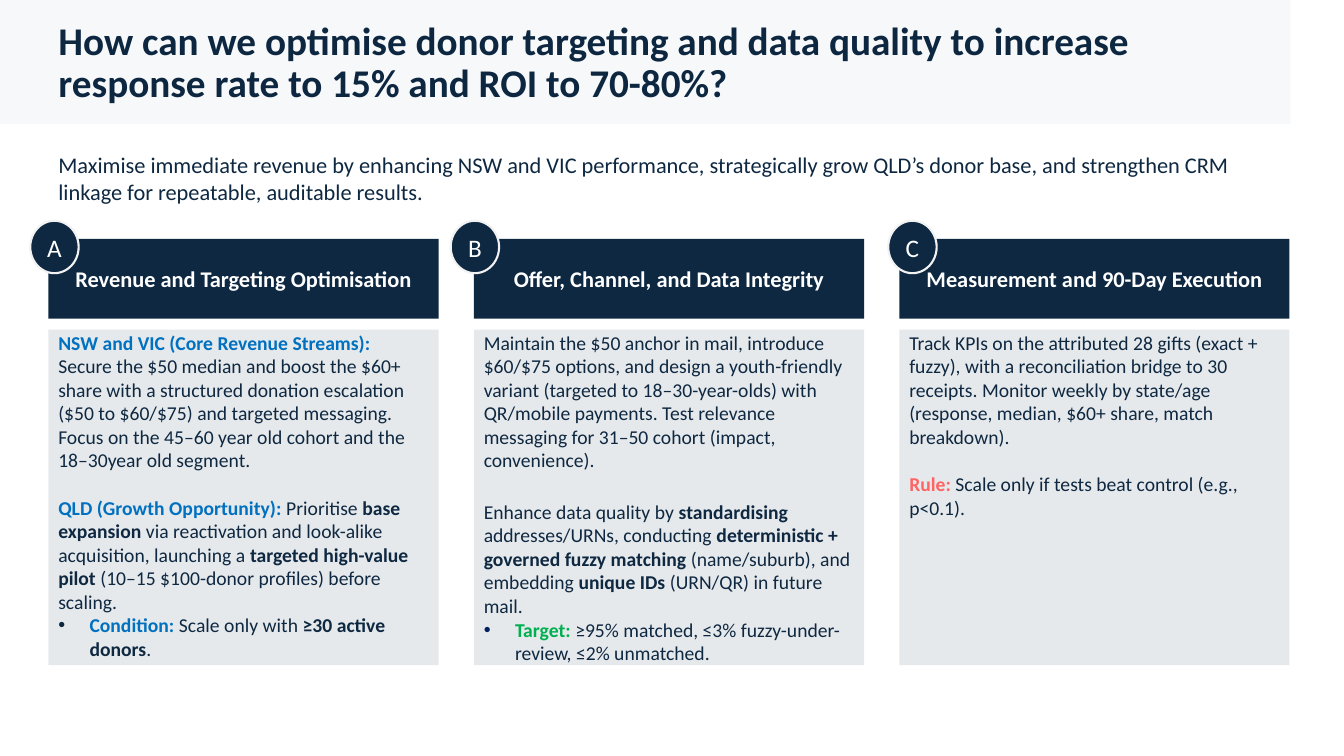
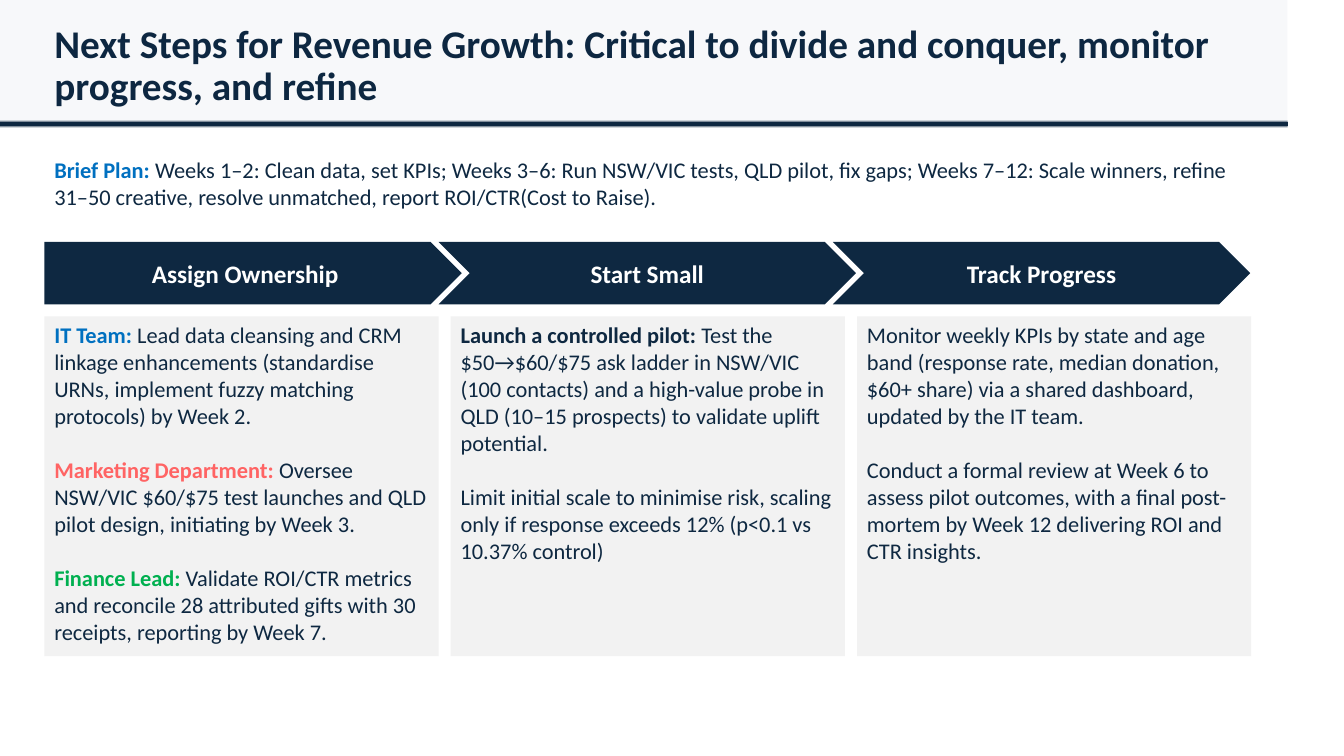
from lxml import etree
from pptx import Presentation
from pptx.dml.color import RGBColor
from pptx.enum.shapes import MSO_CONNECTOR, MSO_SHAPE
from pptx.enum.text import MSO_ANCHOR, MSO_AUTO_SIZE, PP_ALIGN
from pptx.oxml.ns import qn
from pptx.util import Emu, Pt

RECT, OVAL = MSO_SHAPE.RECTANGLE, MSO_SHAPE.OVAL
PLATE, CHEVRON = MSO_SHAPE.PENTAGON, MSO_SHAPE.CHEVRON
STRAIGHT = MSO_CONNECTOR.STRAIGHT
TOP, MIDDLE = MSO_ANCHOR.TOP, MSO_ANCHOR.MIDDLE
LEFT, CENTER = PP_ALIGN.LEFT, PP_ALIGN.CENTER
FIXED = MSO_AUTO_SIZE.NONE

PX = 9144
FONT = "Calibri"
HUES = {
    "ink": "0E2841", "navy": "002060", "white": "FFFFFF", "pale": "F2F2F2",
    "blue": "0070C0", "green": "00B050", "red": "FF6464",
}

FOCUS = {
    "title": "How can we optimise donor targeting and data quality to increase response rate to 15% and ROI to 70-80%?",
    "lead": ["Maximise immediate revenue by enhancing NSW and VIC performance, strategically grow QLD’s donor base, and strengthen CRM linkage for repeatable, auditable results."],
    "columns": [
        {
            "head": "Revenue and Targeting Optimisation", "mark": "A", "x": 30, "gap": 17,
            "body": [
                [("NSW and VIC (Core Revenue Streams): ", "blue"),
                 "Secure the $50 median and boost the $60+ share with a structured donation escalation ($50 to $60/$75) and targeted messaging. Focus on the 45–60 year old cohort and the 18–30year old segment."],
                [("QLD (Growth Opportunity): ", "blue"), "Prioritise ",
                 ("base expansion", "ink"),
                 " via reactivation and look-alike acquisition, launching a ",
                 ("targeted high-value pilot", "ink"),
                 " (10–15 $100-donor profiles) before scaling."],
            ],
            "item": [("Condition: ", "blue"), "Scale only with ",
                     ("≥30 active donors", "ink"), "."],
            "dot": "ink",
        },
        {
            "head": "Offer, Channel, and Data Integrity", "mark": "B", "x": 447, "gap": 20,
            "body": [
                ["Maintain the $50 anchor in mail, introduce $60/$75 options, and design a youth-friendly variant (targeted to 18–30-year-olds) with QR/mobile payments. Test relevance messaging for 31–50 cohort (impact, convenience)."],
                ["Enhance data quality by ", ("standardising", "ink"),
                 " addresses/URNs, conducting ",
                 ("deterministic + governed fuzzy matching", "ink"),
                 " (name/suburb), and embedding ", ("unique IDs", "ink"),
                 " (URN/QR) in future mail."],
            ],
            "item": [("Target: ", "green"),
                     "≥95% matched, ≤3% fuzzy-under-review, ≤2% unmatched."],
            "dot": "navy",
        },
        {
            "head": "Measurement and 90-Day Execution", "mark": "C", "x": 881, "gap": 17,
            "body": [
                ["Track KPIs on the attributed 28 gifts (exact + fuzzy), with a reconciliation bridge to 30 receipts. Monitor weekly by state/age (response, median, $60+ share, match breakdown)."],
                [("Rule: ", "red"), "Scale only if tests beat control (e.g., p<0.1)."],
            ],
        },
    ],
}

STEPS = {
    "title": "Next Steps for Revenue Growth: Critical to divide and conquer, monitor progress, and refine",
    "lead": [("Brief Plan: ", "blue"),
             "Weeks 1–2: Clean data, set KPIs; Weeks 3–6: Run NSW/VIC tests, QLD pilot, fix gaps; Weeks 7–12: Scale winners, refine 31–50 creative, resolve unmatched, report ROI/CTR(Cost to Raise)."],
    "columns": [
        ("Assign Ownership", [
            [("IT Team: ", "blue"),
             "Lead data cleansing and CRM linkage enhancements (standardise URNs, implement fuzzy matching protocols) by Week 2."],
            [("Marketing Department: ", "red"),
             "Oversee NSW/VIC $60/$75 test launches and QLD pilot design, initiating by Week 3."],
            [("Finance Lead: ", "green"),
             "Validate ROI/CTR metrics and reconcile 28 attributed gifts with 30 receipts, reporting by Week 7."],
        ]),
        ("Start Small", [
            [("Launch a controlled pilot: ", "ink"),
             "Test the $50→$60/$75 ask ladder in NSW/VIC (100 contacts) and a high-value probe in QLD (10–15 prospects) to validate uplift potential."],
            ["Limit initial scale to minimise risk, scaling only if response exceeds 12% (p<0.1 vs 10.37% control)"],
        ]),
        ("Track Progress", [
            ["Monitor weekly KPIs by state and age band (response rate, median donation, $60+ share) via a shared dashboard, updated by the IT team."],
            ["Conduct a formal review at Week 6 to assess pilot outcomes, with a final post-mortem by Week 12 delivering ROI and CTR insights."],
        ]),
    ],
}


def rgb(hue):
    return RGBColor.from_string(HUES[hue])


def emu(*sizes):
    return [Emu(size * PX) for size in sizes]


def fade(shape, share):
    for node in shape._element.spPr.iter(qn("a:srgbClr")):
        etree.SubElement(node, qn("a:alpha"), val=str(share * 1000))


def dot(para, hue):
    props = para._p.get_or_add_pPr()
    props.set("marL", str(31 * PX))
    props.set("indent", str(-31 * PX))
    tint = etree.SubElement(props, qn("a:buClr"))
    etree.SubElement(tint, qn("a:srgbClr"), val=HUES[hue])
    etree.SubElement(props, qn("a:buFont"), typeface="Arial")
    etree.SubElement(props, qn("a:buChar"), char="•")


def write(shape, paras, size=16, hue="ink", bold=False, align=LEFT,
          anchor=MIDDLE, inset=5, gap=0, lines=None):
    frame = shape.text_frame
    frame.word_wrap = True
    frame.auto_size = FIXED
    frame.vertical_anchor = anchor
    frame.margin_top, frame.margin_bottom = emu(inset, 0 if anchor == TOP else inset)
    for spot, runs in enumerate(paras):
        para = frame.add_paragraph() if spot else frame.paragraphs[0]
        para.alignment = align
        para.space_before = Pt(gap if spot else 0)
        if lines:
            para.line_spacing = lines
        for part in runs:
            words, tone = (part, None) if isinstance(part, str) else part
            run = para.add_run()
            run.text = words
            run.font.name = FONT
            run.font.size = Pt(size)
            run.font.bold = bold or tone is not None
            run.font.color.rgb = rgb(tone or hue)
    return frame


def block(slide, kind, box, hue, edge=None, alpha=None):
    shape = slide.shapes.add_shape(kind, *emu(*box))
    shape.shadow.inherit = False
    shape.fill.solid()
    shape.fill.fore_color.rgb = rgb(hue)
    if alpha:
        fade(shape, alpha)
    if edge:
        shape.line.color.rgb = rgb(edge)
        shape.line.width = Pt(1.5)
    else:
        shape.line.fill.background()
    return shape


def rule(slide, width, alpha):
    line = slide.shapes.add_connector(STRAIGHT, *emu(0, 123, 1277, 123))
    line.line.color.rgb = rgb("ink")
    line.line.width = Pt(width)
    fade(line, alpha)
    etree.SubElement(line._element.spPr, qn("a:effectLst"))


def start(deck, page, title, band, lead):
    slide = deck.slides.add_slide(deck.slide_layouts[5])
    head = slide.shapes.title
    head.left, head.top, head.width, head.height = emu(*title)
    write(head, [[page["title"]]], size=28, bold=True, lines=0.9)
    block(slide, RECT, (band, 0, 1280, 123), "navy", alpha=3)
    write(slide.shapes.add_textbox(*emu(*lead)), [page["lead"]], anchor=TOP)
    return slide


def focus(deck):
    slide = start(deck, FOCUS, (48, 13, 1211, 100), 0, (48, 145, 1231, 64))
    for spot, col in enumerate(FOCUS["columns"]):
        left = 48 + 422 * spot
        head = block(slide, RECT, (left, 237, 387, 79), "ink")
        write(head, [[col["head"]]], hue="white", bold=True, align=CENTER)
        body = block(slide, RECT, (left, 327, 387, 333), "ink", alpha=10)
        item = [col["item"]] if "item" in col else []
        frame = write(body, col["body"] + item, size=14, anchor=TOP,
                      inset=1, gap=col["gap"])
        if item:
            last = frame.paragraphs[-1]
            last.space_before = Pt(0)
            dot(last, col["dot"])
        mark = block(slide, OVAL, (col["x"], 219, 48, 52), "ink", edge="pale")
        write(mark, [[col["mark"]]], size=18, hue="white", align=CENTER)


def steps(deck):
    slide = start(deck, STEPS, (44, 15, 1186, 103), -3, (44, 150, 1217, 64))
    for width, alpha in ((3.5, 100), (4.75, 51)):
        rule(slide, width, alpha)
    for spot, (name, paras) in enumerate(STEPS["columns"]):
        kind = CHEVRON if spot else PLATE
        step = block(slide, kind, (44 + 391 * spot, 240, 414, 62), "ink")
        write(step, [[name]], size=18, hue="white", bold=True, align=CENTER)
        body = block(slide, RECT, (44 + 403 * spot, 314, 391, 337), "pale")
        write(body, paras, anchor=TOP, gap=19.5)


def main():
    deck = Presentation()
    deck.slide_width, deck.slide_height = emu(1333, 750)
    focus(deck)
    steps(deck)
    deck.save("out.pptx")


if __name__ == "__main__":
    main()
